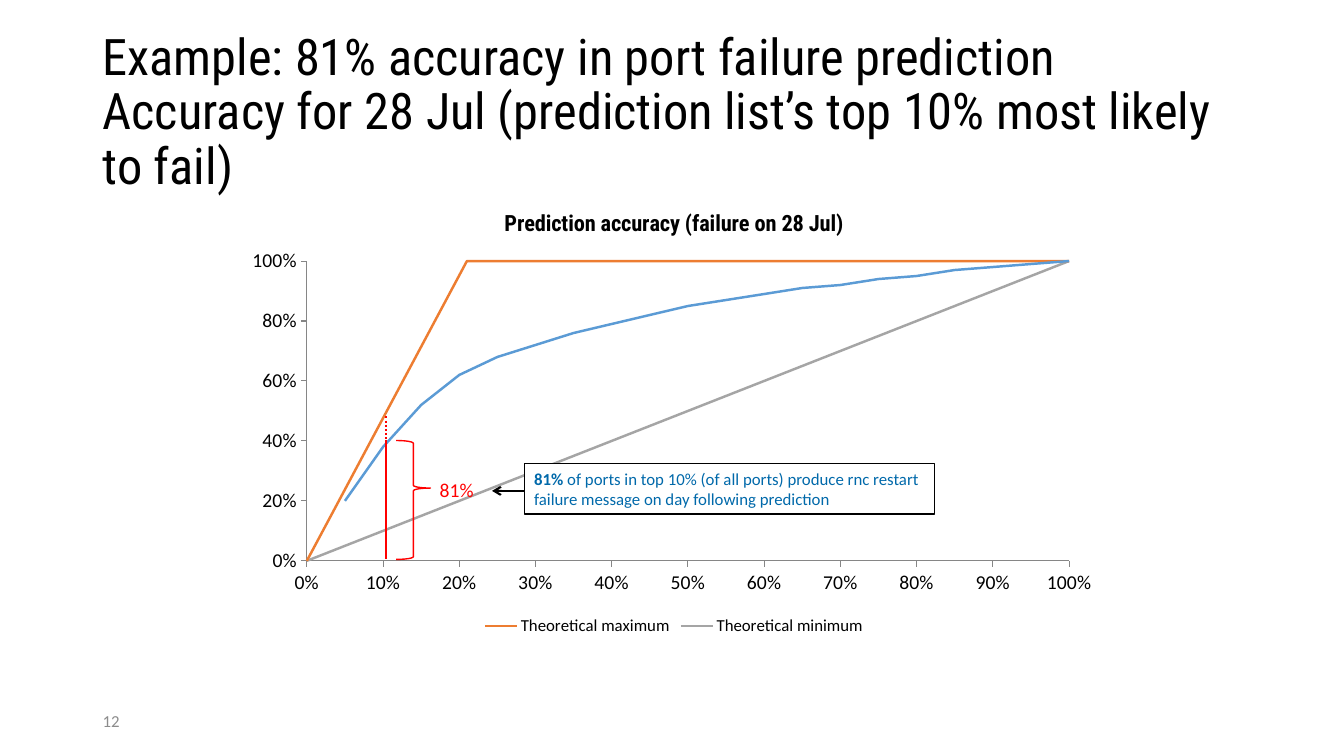
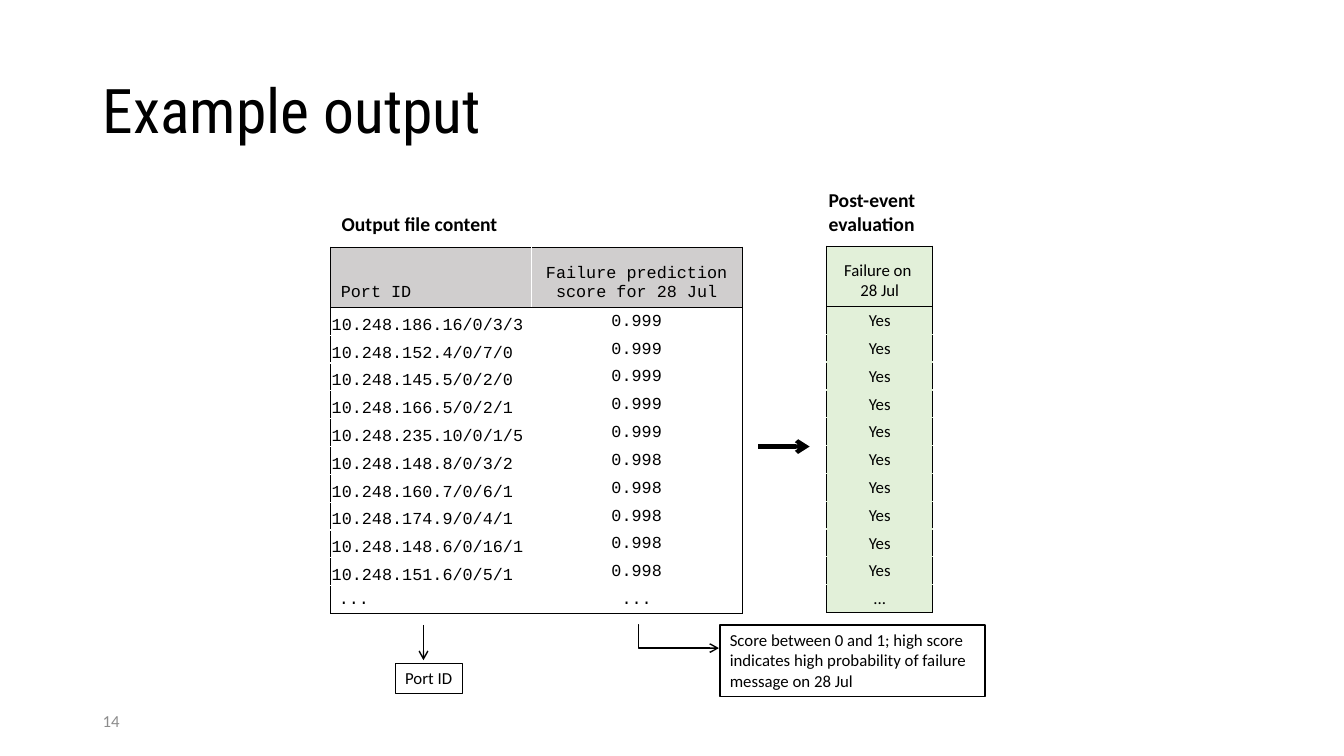
from dataclasses import dataclass
from typing import NamedTuple

from lxml.etree import SubElement
from pptx import Presentation
from pptx.chart.data import XyChartData
from pptx.dml.color import RGBColor
from pptx.enum.chart import XL_CHART_TYPE, XL_LEGEND_POSITION, XL_TICK_MARK
from pptx.enum.dml import MSO_LINE
from pptx.enum.shapes import MSO_CONNECTOR, MSO_SHAPE
from pptx.enum.text import MSO_ANCHOR, PP_ALIGN
from pptx.oxml.ns import qn
from pptx.util import Inches, Pt


@dataclass(frozen=True)
class Theme:
    black: str = "000000"
    white: str = "FFFFFF"
    red: str = "FF0000"
    navy: str = "0069AA"
    mute: str = "8C8C8C"
    axis: str = "868686"
    grey: str = "D0CECE"
    green: str = "E2F0D9"
    blue: str = "5B9BD5"
    orange: str = "ED7D31"
    ash: str = "A5A5A5"
    body: str = "Calibri"
    head: str = "Roboto Condensed"
    code: str = "Courier New"
    tiny: int = 10
    small: int = 12
    label: int = 14
    chart: int = 16
    long: int = 36
    title: int = 44


T = Theme()


class Spot(NamedTuple):
    x: float
    y: float
    w: float
    h: float

    def emu(self) -> list:
        return [Inches(v) for v in self]


class Style(NamedTuple):
    size: int = T.small
    color: str = T.black
    font: str = T.body
    bold: bool = False


class Curve(NamedTuple):
    name: str
    color: str
    dots: list


class Column(NamedTuple):
    width: float
    head: str
    cells: list
    align: PP_ALIGN = PP_ALIGN.CENTER
    anchor: MSO_ANCHOR = MSO_ANCHOR.MIDDLE
    inset: float = 0.01  # left inset of the closing row


def rgb(code: str) -> RGBColor:
    return RGBColor.from_string(code)


def dress(font, style: Style) -> None:
    font.size, font.name, font.bold = Pt(style.size), style.font, style.bold
    font.color.rgb = rgb(style.color)


# Text and shapes
def write(frame, text: str, style: Style, lead: str = "") -> None:
    para = frame.paragraphs[0]
    if lead:
        run = para.add_run()
        run.text, run.font.bold = lead, True
    para.add_run().text = text
    para.alignment = PP_ALIGN.LEFT
    dress(para.font, style)


def label(slide, spot: Spot, text: str, style: Style,
          anchor=MSO_ANCHOR.TOP):
    frame = slide.shapes.add_textbox(*spot.emu()).text_frame
    frame.word_wrap, frame.vertical_anchor = True, anchor
    write(frame, text, style)
    return frame


def box(slide, spot: Spot, text: str, style: Style, width: float,
        lead: str = "", wrap: bool = True) -> None:
    shape = slide.shapes.add_shape(MSO_SHAPE.RECTANGLE, *spot.emu())
    shape.shadow.inherit = False
    shape.fill.solid()
    shape.fill.fore_color.rgb = rgb(T.white)
    shape.line.color.rgb, shape.line.width = rgb(T.black), Pt(width)
    frame = shape.text_frame
    frame.word_wrap, frame.vertical_anchor = wrap, MSO_ANCHOR.TOP
    write(frame, text, style, lead)


def link(slide, start: tuple, end: tuple, width: float, color: str = T.black,
         arrow: bool = True, dash=None, bend=None) -> None:
    kind = MSO_CONNECTOR.STRAIGHT if bend is None else MSO_CONNECTOR.ELBOW
    ends = [Inches(v) for v in (*start, *end)]
    line = slide.shapes.add_connector(kind, *ends)
    line.line.color.rgb, line.line.width = rgb(color), Pt(width)
    if dash:
        line.line.dash_style = dash
    props = line.element.spPr
    if arrow:
        SubElement(props.find(qn("a:ln")), qn("a:tailEnd"), type="arrow")
    if bend is not None:
        geom = props.find(qn("a:prstGeom"))
        stops = geom.find(qn("a:avLst"))
        if stops is None:
            stops = SubElement(geom, qn("a:avLst"))
        SubElement(stops, qn("a:gd"), name="adj1", fmla=f"val {bend}")
    SubElement(props, qn("a:effectLst"))


def page(deck, title: str, size: int, number: str):
    slide = deck.slides.add_slide(deck.slide_layouts[6])
    frame = label(slide, Spot(0.92, 0.4, 11.5, 1.45), title,
                  Style(size, font=T.head), MSO_ANCHOR.MIDDLE)
    frame.paragraphs[0].line_spacing = 0.9
    label(slide, Spot(0.92, 6.95, 3, 0.4), number, Style(color=T.mute),
          MSO_ANCHOR.MIDDLE)
    return slide


# Chart
def scale(axis, step: float) -> None:
    axis.minimum_scale, axis.maximum_scale, axis.major_unit = 0, 1, step
    axis.has_major_gridlines = False
    axis.major_tick_mark = XL_TICK_MARK.OUTSIDE
    axis.minor_tick_mark = XL_TICK_MARK.NONE
    axis.format.line.color.rgb = rgb(T.axis)
    ticks = axis.tick_labels
    ticks.number_format, ticks.number_format_is_linked = "0%", False
    dress(ticks.font, Style(T.label))


def plot(slide, spot: Spot, title: str, curves: list) -> None:
    data = XyChartData()
    for curve in curves:
        series = data.add_series(curve.name)
        for x, y in curve.dots:
            series.add_data_point(x, y)
    chart = slide.shapes.add_chart(
        XL_CHART_TYPE.XY_SCATTER_LINES_NO_MARKERS, *spot.emu(), data).chart
    dress(chart.font, Style(T.tiny))
    chart.has_title = True
    para = chart.chart_title.text_frame.paragraphs[0]
    para.add_run().text = title
    dress(para.font, Style(T.chart, font=T.head, bold=True))
    scale(chart.category_axis, 0.1)
    scale(chart.value_axis, 0.2)
    chart.plots[0].vary_by_categories = False
    for series, curve in zip(chart.plots[0].series, curves):
        series.smooth = False
        series.format.line.color.rgb = rgb(curve.color)
        series.format.line.width = Pt(1.75)

    # Legend without the first curve
    chart.has_legend = True
    chart.legend.position = XL_LEGEND_POSITION.BOTTOM
    chart.legend.include_in_layout = False
    dress(chart.legend.font, Style())
    legend = chart.element.find(".//" + qn("c:legend"))
    entry = SubElement(legend, qn("c:legendEntry"))
    SubElement(entry, qn("c:idx"), val="0")
    SubElement(entry, qn("c:delete"), val="1")
    legend.find(qn("c:legendPos")).addnext(entry)

    # Fixed inner plot area
    area = chart.element.find(".//" + qn("c:plotArea"))
    frame = area.find(qn("c:layout"))
    if frame is None:
        frame = SubElement(area, qn("c:layout"))
        area.insert(0, frame)
    inner = SubElement(frame, qn("c:manualLayout"))
    for tag, val in (("layoutTarget", "inner"), ("xMode", "edge"),
                     ("yMode", "edge"), ("x", "0.08"), ("y", "0.157"),
                     ("w", "0.872"), ("h", "0.667")):
        SubElement(inner, qn(f"c:{tag}"), val=val)


# Tables
def edge(cell, side: str, dark: bool, pale: str) -> None:
    width = Pt(0.75 if dark else 1)
    line = SubElement(cell._tc.get_or_add_tcPr(), qn(f"a:ln{side}"),
                      w=str(width))
    fill = SubElement(line, qn("a:solidFill"))
    SubElement(fill, qn("a:srgbClr"), val=T.black if dark else pale)


def grid(slide, x: float, y: float, cols: list, font: str, top: str,
         fill=None) -> None:
    count = len(cols[0].cells) + 1
    heights = [0.6] + [0.276] * (count - 1)
    spot = Spot(x, y, sum(c.width for c in cols), sum(heights))
    table = slide.shapes.add_table(count, len(cols), *spot.emu()).table
    table.first_row = table.horz_banding = False
    for row, height in zip(table.rows, heights):
        row.height = Inches(height)
    for c, col in enumerate(cols):
        table.columns[c].width = Inches(col.width)
        for r, text in enumerate([col.head, *col.cells]):
            cell = table.cell(r, c)
            first, last = r == 0, r == count - 1
            cell.text = text
            cell.vertical_anchor = (MSO_ANCHOR.BOTTOM if first else
                                    MSO_ANCHOR.MIDDLE if last else col.anchor)
            if not first:
                left = col.inset if last else 0.01
                cell.margin_left, cell.margin_right = Inches(left), Inches(0.01)
                cell.margin_top, cell.margin_bottom = Inches(0.01), Inches(0)
            para = cell.text_frame.paragraphs[0]
            para.alignment = col.align
            dress(para.font, Style(font=font))
            for side, dark in (("L", c == 0), ("R", c == len(cols) - 1),
                               ("T", r <= 1), ("B", first or last)):
                edge(cell, side, dark, fill or T.white)
            tint = top if first else fill
            if tint:
                cell.fill.solid()
                cell.fill.fore_color.rgb = rgb(tint)
            else:
                cell.fill.background()


def gains(deck) -> None:
    slide = page(deck, "Example: 81% accuracy in port failure prediction "
                 "Accuracy for 28 Jul (prediction list’s top 10% most likely "
                 "to fail)", T.long, "12")
    hits = [1, 0.99, 0.98, 0.97, 0.95, 0.94, 0.92, 0.91, 0.89, 0.87,
            0.85, 0.82, 0.79, 0.76, 0.72, 0.68, 0.62, 0.52, 0.38, 0.2]
    model = [(round(1 - 0.05 * i, 2), hit) for i, hit in enumerate(hits)]
    plot(slide, Spot(2.35, 1.89, 8.67, 4.46),
         "Prediction accuracy (failure on 28 Jul)", [
             Curve("Series 1", T.blue, model),
             Curve("Theoretical maximum", T.orange,
                   [(0, 0), (0.21, 1), (1, 1)]),
             Curve("Theoretical minimum", T.ash, [(0, 0), (1, 1)])])

    # Callout
    link(slide, (5.57, 4.87), (4.88, 4.87), 1.5)
    box(slide, Spot(5.2, 4.6, 4.07, 0.5),
        " of ports in top 10% (of all ports) produce rnc restart failure "
        "message on day following prediction", Style(color=T.navy), 0.75,
        lead="81%")

    # Mark at 10%
    link(slide, (3.83, 4.37), (3.83, 5.55), 1.5, T.red, arrow=False)
    frame = label(slide, Spot(4.32, 4.69, 0.69, 0.29), "81%",
                  Style(T.label, T.red))
    frame.margin_left = frame.margin_right = Inches(0.04)
    brace = slide.shapes.add_shape(MSO_SHAPE.RIGHT_BRACE,
                                   *Spot(3.93, 4.37, 0.34, 1.18).emu())
    brace.shadow.inherit = False
    brace.fill.background()
    brace.line.color.rgb, brace.line.width = rgb(T.red), Pt(1)
    brace.adjustments[0], brace.adjustments[1] = 0.08, 0.4
    link(slide, (3.83, 4.13), (3.83, 4.42), 1.5, T.red, arrow=False,
         dash=MSO_LINE.ROUND_DOT)


def output(deck) -> None:
    slide = page(deck, "Example output", T.title, "14")
    bold = Style(T.label, bold=True)
    ports = ["186.16/0/3/3", "152.4/0/7/0", "145.5/0/2/0", "166.5/0/2/1",
             "235.10/0/1/5", "148.8/0/3/2", "160.7/0/6/1", "174.9/0/4/1",
             "148.6/0/16/1", "151.6/0/5/1"]
    names = [f"10.248.{port}" for port in ports]
    scores = ["0.999"] * 5 + ["0.998"] * 5

    # Output file
    grid(slide, 3.28, 2.45, [
        Column(1.99, "Port ID", names + ["..."], PP_ALIGN.LEFT,
               MSO_ANCHOR.BOTTOM, 0.08),
        Column(2.09, "Failure prediction score for 28 Jul",
               scores + ["..."])], T.code, T.grey)
    label(slide, Spot(3.29, 2.05, 2.91, 0.34), "Output file content", bold)

    # Column notes
    link(slide, (6.34, 6.2), (7.13, 6.43), 1, bend=-1300)
    box(slide, Spot(7.14, 6.2, 2.63, 0.71),
        "Score between 0 and 1; high score indicates high probability of "
        "failure message on 28 Jul", Style(), 1)
    box(slide, Spot(3.92, 6.58, 0.67, 0.3), "Port ID", Style(), 1, wrap=False)
    link(slide, (4.2, 6.2), (4.2, 6.55), 1)

    # Check after the event
    label(slide, Spot(8.12, 1.82, 1.34, 0.57), "Post-event evaluation", bold)
    grid(slide, 8.2, 2.44, [
        Column(1.05, "Failure on \v28 Jul", ["Yes"] * len(ports) + ["..."])],
        T.body, T.green, T.green)
    link(slide, (7.52, 4.43), (8.03, 4.43), 3)


def main() -> None:
    deck = Presentation()
    deck.slide_width, deck.slide_height = Inches(13.33), Inches(7.5)
    gains(deck)
    output(deck)
    deck.save("out.pptx")


if __name__ == "__main__":
    main()
